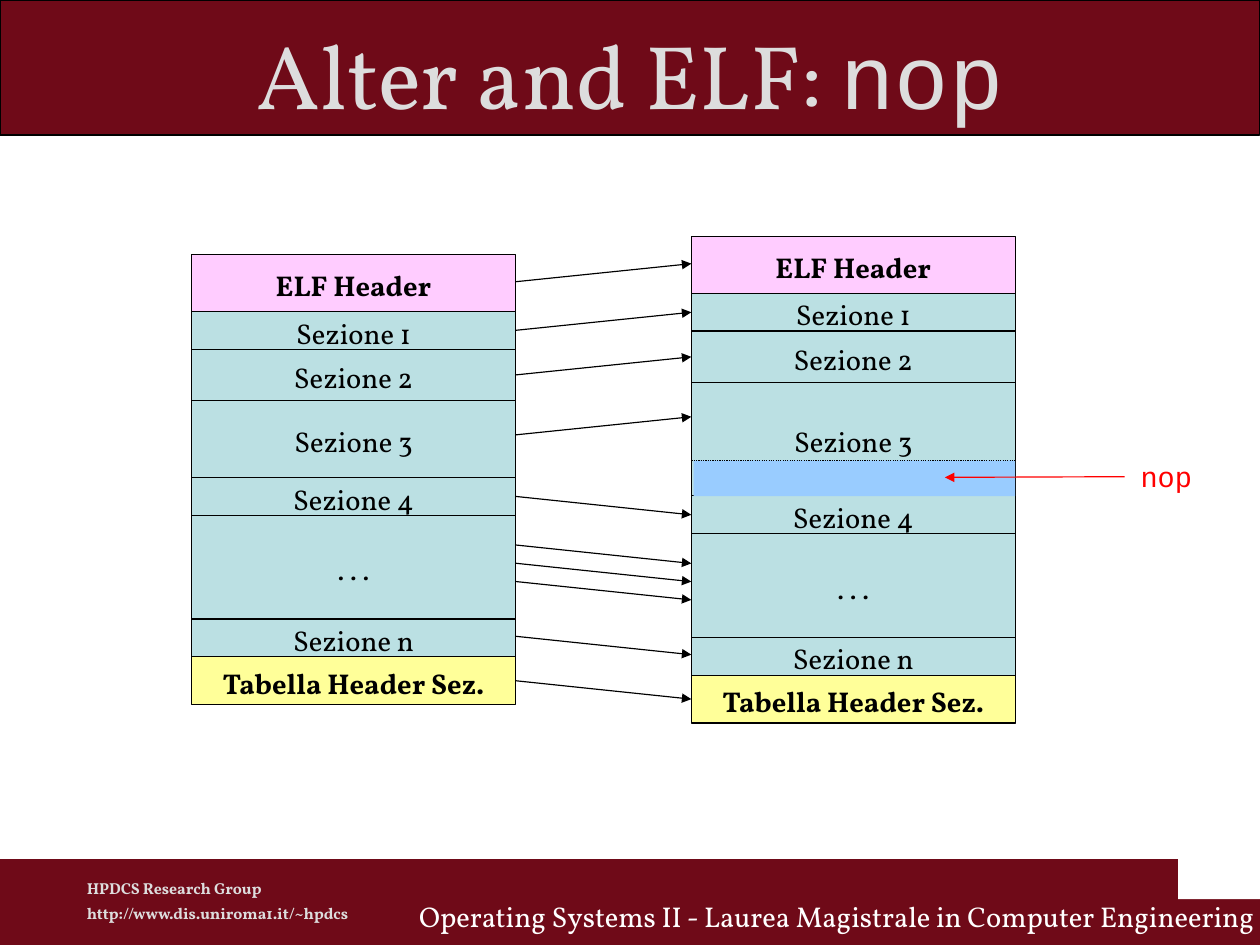
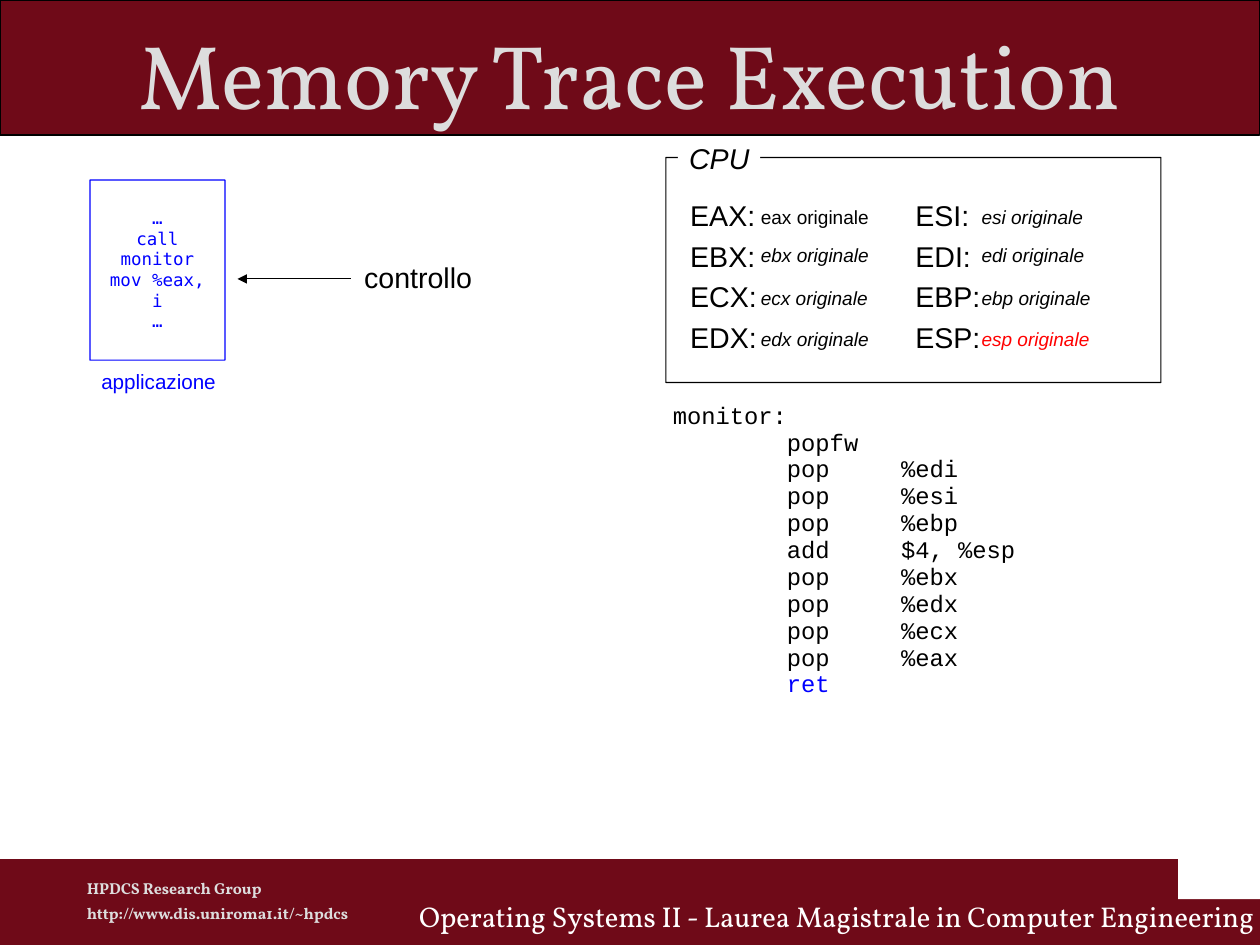
from dataclasses import dataclass, replace

import lxml.etree
import pptx
import pptx.dml.color
import pptx.enum.dml
import pptx.enum.shapes
import pptx.enum.text
import pptx.oxml.ns
import pptx.presentation
import pptx.shapes.autoshape
import pptx.shapes.connector
import pptx.slide
import pptx.text.text
import pptx.util

Pt = pptx.util.Pt
Align = pptx.enum.text.PP_ALIGN
Anchor = pptx.enum.text.MSO_ANCHOR
Preset = pptx.enum.shapes.MSO_SHAPE
Dash = pptx.enum.dml.MSO_LINE
qn = pptx.oxml.ns.qn

SLIDE_WIDTH, SLIDE_HEIGHT = 793.7, 595.28
BURGUNDY, WHITE, BLACK, LIGHT_GREY = "6F0A18", "FFFFFF", "000000", "DDDDDD"
RED, BLUE, SKY = "FF0000", "0000FF", "99CCFF"
TEAL, PINK, YELLOW = "BBE0E3", "FFCCFF", "FFFF99"
LINE_WIDTH = 0.75


@dataclass(frozen=True)
class Style:
    size: float
    font: str
    color: str = BLACK
    bold: bool = False
    italic: bool = False
    align: Align = Align.LEFT
    spacing: float = 0.93


@dataclass(frozen=True)
class Box:
    left: float
    top: float
    width: float
    height: float


@dataclass(frozen=True)
class Block:
    label: str
    height: float
    fill: str = TEAL
    bold: bool = False
    growth: float = 0
    arrow_offsets: tuple[float, ...] = (0,)


@dataclass(frozen=True)
class Register:
    name: str
    column: int
    row: int
    color: str = BLACK
    italic: bool = True


TITLE = Style(57, "Vollkorn", LIGHT_GREY, align=Align.CENTER, spacing=1.13)
GROUP = Style(10, "Vollkorn", LIGHT_GREY, bold=True, spacing=1.13)
COURSE = Style(18, "Vollkorn", WHITE, align=Align.RIGHT, spacing=1.13)
SECTION = Style(18, "Vollkorn", align=Align.CENTER, spacing=1.13)
NOP = Style(18, "Courier New", RED, spacing=0.94)
LISTING = Style(15, "Courier New", spacing=0.94)
APP_CODE = Style(11, "DejaVu Sans Mono", BLUE, align=Align.CENTER, spacing=0.98)
APP_NAME = Style(13, "Arial", BLUE)
LABEL = Style(18, "Arial")
VALUE = Style(12, "Arial")

TITLE_BOX = Box(9.4, -20.5, 774.7, 124.6)
STACK_WIDTH = 204
PLAIN_LEFT, ALTERED_LEFT = 120.7, 435.5
PLAIN_TOP, ALTERED_TOP = 160.2, 148.8
NOP_TOP, NOP_HEIGHT = 290, 22.5

BLOCKS = (
    Block("ELF Header", 36, PINK, True, arrow_offsets=(-0.7,)),
    Block("Sezione 1", 23.8),
    Block("Sezione 2", 32.4),
    Block("Sezione 3", 48.3, growth=23, arrow_offsets=(-2.6,)),
    Block("Sezione 4", 24),
    Block(". . .", 65.2, arrow_offsets=(-14, -2.5, 9)),
    Block("Sezione n", 23.8, arrow_offsets=(-1,)),
    Block("Tabella Header Sez.", 30.2, YELLOW, True),
)

REGISTERS = (
    Register("eax", 0, 0, italic=False),
    Register("ebx", 0, 1),
    Register("ecx", 0, 2),
    Register("edx", 0, 3),
    Register("esi", 1, 0),
    Register("edi", 1, 1),
    Register("ebp", 1, 2),
    Register("esp", 1, 3, RED),
)
LABEL_LEFTS, VALUE_LEFTS = (427.7, 569.5), (472.2, 611.2)
LABEL_TOP, LABEL_PITCH = 121.6, 25.6
VALUE_TOPS = (126.5, 150.4, 177.7, 203)

MONITOR_CODE = """monitor:
        popfw
        pop     %edi
        pop     %esi
        pop     %ebp
        add     $4, %esp
        pop     %ebx
        pop     %edx
        pop     %ecx
        pop     %eax
        ret"""


def rgb(color: str) -> pptx.dml.color.RGBColor:
    return pptx.dml.color.RGBColor.from_string(color)


def format_run(run: pptx.text.text._Run, style: Style) -> None:
    run.font.size = Pt(style.size)
    run.font.name = style.font
    run.font.bold = style.bold
    run.font.italic = style.italic
    run.font.color.rgb = rgb(style.color)


def write(frame: pptx.text.text.TextFrame, text: str, style: Style,
          anchor: Anchor = Anchor.TOP, top_inset: float = 3.6,
          inset: float = 7.2, wrap: bool = True) -> None:
    frame.text = text
    frame.word_wrap = wrap
    frame.auto_size = pptx.enum.text.MSO_AUTO_SIZE.NONE
    frame.vertical_anchor = anchor
    frame.margin_left = frame.margin_right = Pt(inset)
    frame.margin_top = Pt(top_inset)
    frame.margin_bottom = Pt(min(inset, 3.6))
    for paragraph in frame.paragraphs:
        paragraph.alignment = style.align
        paragraph.line_spacing = style.spacing
        for run in paragraph.runs:
            format_run(run, style)


def add_text(slide: pptx.slide.Slide, box: Box, text: str, style: Style,
             top_inset: float = 3.6, inset: float = 7.2) -> pptx.shapes.autoshape.Shape:
    label = slide.shapes.add_textbox(
        Pt(box.left), Pt(box.top), Pt(box.width), Pt(box.height))
    write(label.text_frame, text, style, top_inset=top_inset, inset=inset)
    return label


def add_panel(slide: pptx.slide.Slide, box: Box, fill: str | None = None,
              line: str | None = None,
              preset: Preset = Preset.RECTANGLE) -> pptx.shapes.autoshape.Shape:
    panel = slide.shapes.add_shape(
        preset, Pt(box.left), Pt(box.top), Pt(box.width), Pt(box.height))
    panel.shadow.inherit = False
    if preset == Preset.ROUNDED_RECTANGLE:
        panel.adjustments[0] = 0.001
    if fill:
        panel.fill.solid()
        panel.fill.fore_color.rgb = rgb(fill)
    else:
        panel.fill.background()
    if line:
        panel.line.color.rgb = rgb(line)
        panel.line.width = Pt(LINE_WIDTH)
    else:
        panel.line.fill.background()
    return panel


def add_line(slide: pptx.slide.Slide, start: tuple[float, float],
             end: tuple[float, float], color: str = BLACK,
             arrow: bool = True) -> pptx.shapes.connector.Connector:
    connector = slide.shapes.add_connector(
        pptx.enum.shapes.MSO_CONNECTOR.STRAIGHT,
        *(Pt(length) for length in (*start, *end)))
    connector.line.color.rgb = rgb(color)
    connector.line.width = Pt(LINE_WIDTH)
    properties = connector.element.spPr
    if arrow:
        lxml.etree.SubElement(
            properties.find(qn("a:ln")), qn("a:tailEnd"), type="triangle")
    lxml.etree.SubElement(properties, qn("a:effectLst"))
    return connector


def furnish_layout(layout: pptx.slide.SlideLayout, slide: pptx.slide.Slide) -> None:
    footer_top = 541.2
    header = add_panel(slide, Box(0, 0, SLIDE_WIDTH, 85.1), BURGUNDY, BLACK)
    footer = add_panel(
        slide, Box(0, footer_top, SLIDE_WIDTH, SLIDE_HEIGHT - footer_top), BURGUNDY)
    notch = add_panel(slide, Box(742.1, footer_top, SLIDE_WIDTH - 742.1, 25.2), WHITE)
    group = add_text(
        slide, Box(47.6, 548.4, 191.5, 40.3),
        "HPDCS Research Group\nhttp://www.dis.uniroma1.it/~hpdcs", GROUP)
    group.text_frame.paragraphs[1].line_spacing = 1.29
    for position, part in enumerate((header, footer, notch, group), start=2):
        layout.shapes.element.insert(position, part.element)


def add_slide(deck: pptx.presentation.Presentation,
              layout: pptx.slide.SlideLayout, title: str) -> pptx.slide.Slide:
    slide = deck.slides.add_slide(layout)
    heading = slide.shapes.title
    heading.left, heading.top = Pt(TITLE_BOX.left), Pt(TITLE_BOX.top)
    heading.width, heading.height = Pt(TITLE_BOX.width), Pt(TITLE_BOX.height)
    write(heading.text_frame, title, TITLE, Anchor.MIDDLE, 0, 0)
    add_text(slide, Box(244.8, 563.5, 545.2, 26.6),
             "Operating Systems II - Laurea Magistrale in Computer Engineering",
             COURSE, 0, 0)
    return slide


def add_block(slide: pptx.slide.Slide, block: Block, left: float, top: float,
              height: float) -> None:
    panel = add_panel(slide, Box(left, top, STACK_WIDTH, height), block.fill, BLACK)
    write(panel.text_frame, block.label, replace(SECTION, bold=block.bold),
          Anchor.MIDDLE)


def draw_elf(slide: pptx.slide.Slide) -> None:
    code_word = slide.shapes.title.text_frame.paragraphs[0].add_run()
    code_word.text = "nop"
    format_run(code_word, replace(TITLE, font="Courier New"))

    plain_top, altered_top = PLAIN_TOP, ALTERED_TOP
    for block in BLOCKS:
        altered_height = block.height + block.growth
        add_block(slide, block, PLAIN_LEFT, plain_top, block.height)
        add_block(slide, block, ALTERED_LEFT, altered_top, altered_height)
        for offset in block.arrow_offsets:
            middle = block.height / 2 + offset
            add_line(slide, (PLAIN_LEFT + STACK_WIDTH, plain_top + middle),
                     (ALTERED_LEFT, altered_top + middle))
        plain_top += block.height
        altered_top += altered_height

    add_panel(slide, Box(ALTERED_LEFT + 1.4, NOP_TOP, STACK_WIDTH - 1.4, NOP_HEIGHT), SKY)
    seam = add_line(slide, (ALTERED_LEFT, NOP_TOP),
                    (ALTERED_LEFT + STACK_WIDTH, NOP_TOP), arrow=False)
    seam.line.dash_style = Dash.ROUND_DOT
    add_text(slide, Box(711.4, 286.4, 80, 27.4), "nop", NOP, 4.3)
    add_line(slide, (708.5, 300.3), (595.2, 300.7), RED)


def draw_memory_trace(slide: pptx.slide.Slide) -> None:
    application = add_panel(slide, Box(56.7, 113.4, 85, 113.4), line=BLUE,
                            preset=Preset.ROUNDED_RECTANGLE)
    write(application.text_frame, "…\ncall monitor\nmov %eax, i\n…", APP_CODE,
          Anchor.MIDDLE)
    add_text(slide, Box(56.7, 229.7, 99.4, 21.6), "applicazione", APP_NAME, 4.3)

    add_panel(slide, Box(419.5, 99.2, 311.8, 141.8), line=BLACK,
              preset=Preset.ROUNDED_RECTANGLE)
    cpu = add_panel(slide, Box(427, 85.7, 51.8, 27.4), WHITE)
    write(cpu.text_frame, "CPU", replace(LABEL, italic=True), top_inset=5, wrap=False)
    for register in REGISTERS:
        label_top = LABEL_TOP + LABEL_PITCH * register.row
        add_text(slide, Box(LABEL_LEFTS[register.column], label_top, 65, 27.4),
                 f"{register.name.upper()}:", LABEL, 5)
        add_text(slide,
                 Box(VALUE_LEFTS[register.column], VALUE_TOPS[register.row], 95, 20.2),
                 f"{register.name} originale",
                 replace(VALUE, color=register.color, italic=register.italic), 4.3)

    monitor = add_text(slide, Box(416.7, 249.4, 370, 311.8), MONITOR_CODE, LISTING, 4.3)
    format_run(monitor.text_frame.paragraphs[-1].runs[0], replace(LISTING, color=BLUE))
    add_text(slide, Box(222.3, 160.6, 95, 27.4), "controllo", LABEL, 5)
    add_line(slide, (220.8, 175.7), (149.6, 175.7))


def main() -> None:
    deck = pptx.Presentation()
    deck.slide_width, deck.slide_height = Pt(SLIDE_WIDTH), Pt(SLIDE_HEIGHT)
    layout = deck.slide_layouts.get_by_name("Title Only")
    elf = add_slide(deck, layout, "Alter and ELF: ")
    furnish_layout(layout, elf)
    draw_elf(elf)
    draw_memory_trace(add_slide(deck, layout, "Memory Trace Execution"))
    deck.save("out.pptx")


if __name__ == "__main__":
    main()
